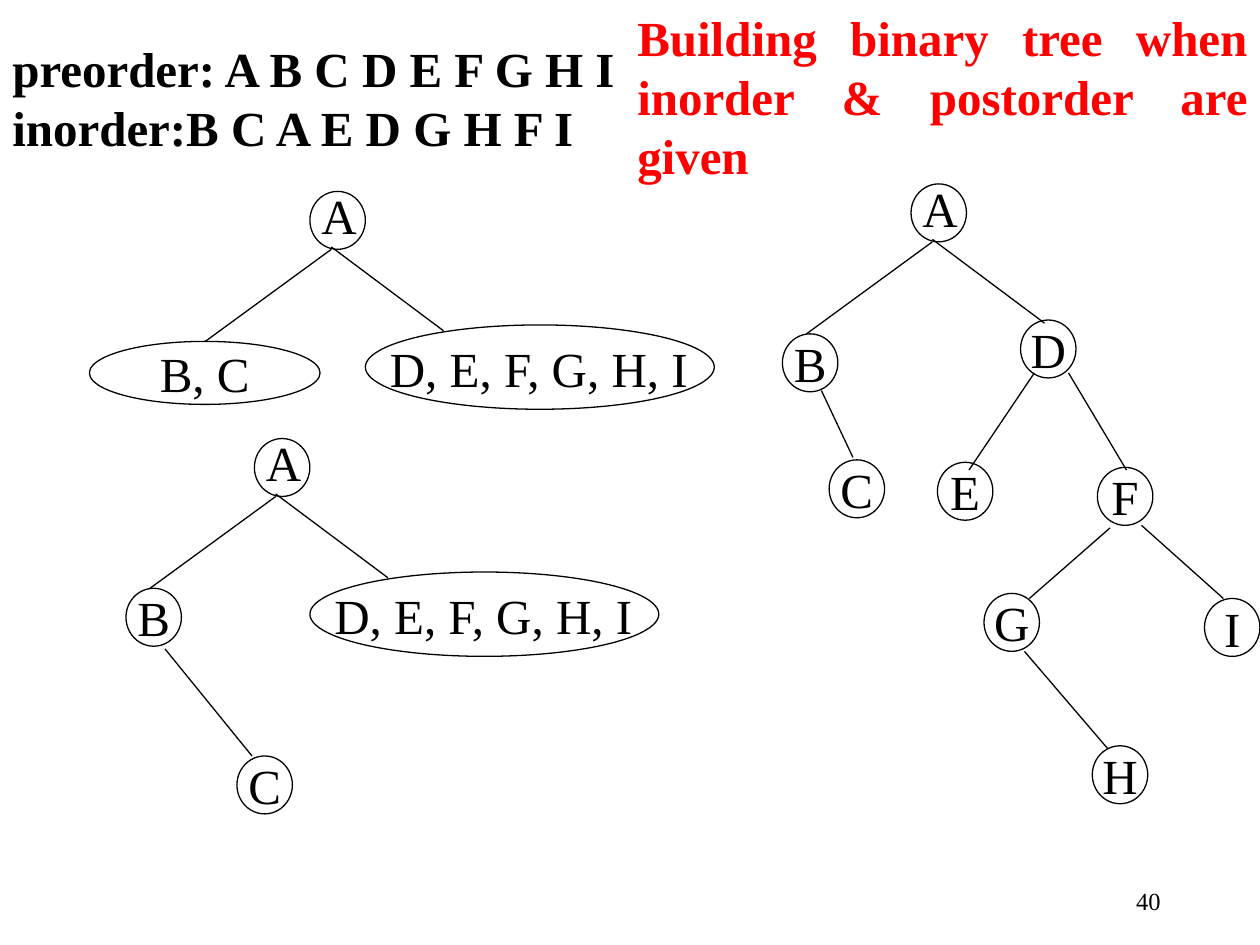
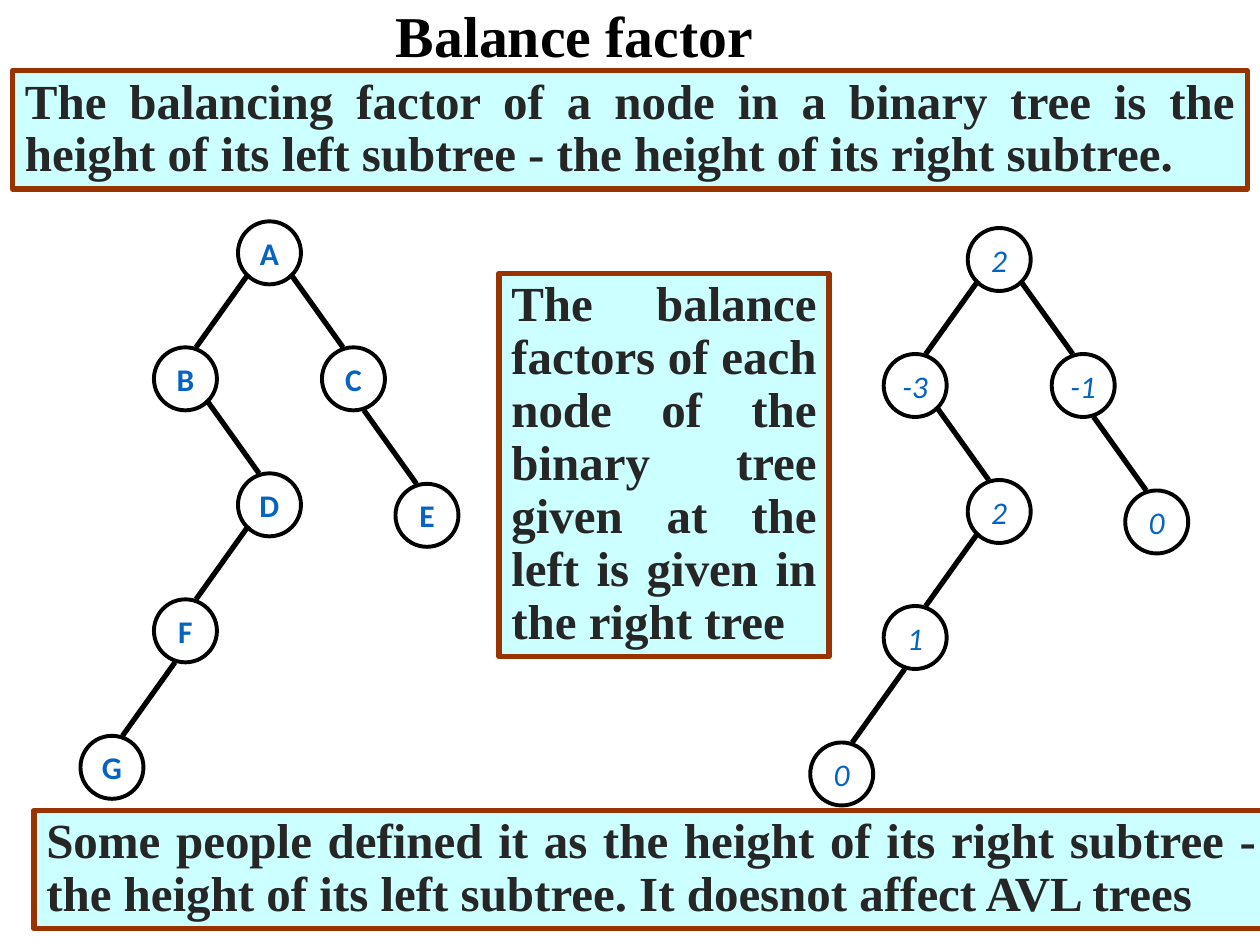
import dataclasses

import pptx
import pptx.dml.color
import pptx.enum.shapes
import pptx.enum.text
import pptx.util
from lxml import etree
from pptx.oxml.ns import qn

Pt = pptx.util.Pt
ALIGN = pptx.enum.text.PP_ALIGN
ANCHOR = pptx.enum.text.MSO_ANCHOR
AUTO = pptx.enum.text.MSO_AUTO_SIZE
SHAPE = pptx.enum.shapes.MSO_SHAPE
STRAIGHT = pptx.enum.shapes.MSO_CONNECTOR.STRAIGHT


@dataclasses.dataclass(frozen=True)
class Theme:
    ink: str = "000000"
    alert: str = "FF0000"
    node_ink: str = "0563C1"
    panel_ink: str = "262626"
    panel_fill: str = "CCFFFF"
    panel_line: str = "993300"
    serif: str = "Times New Roman"
    sans: str = "Calibri"
    title: int = 33
    body: int = 28
    node: int = 18
    small: int = 14
    thin: float = 0.75
    ring: float = 2.25
    thick: float = 3


class Deck:
    def __init__(self, theme):
        self.theme = theme
        self.prs = pptx.Presentation()
        self.prs.slide_width, self.prs.slide_height = Pt(720), Pt(540)
        self.s = self.shapes = None

    def slide(self):
        self.s = self.prs.slides.add_slide(self.prs.slide_layouts[6])
        self.shapes = self.s.shapes

    def group(self):
        """Send the following elements to a new group."""
        self.shapes = self.s.shapes.add_group_shape().shapes

    def ungroup(self):
        self.shapes = self.s.shapes

    def set_text(self, sp, text, align=ALIGN.CENTER, anchor=ANCHOR.MIDDLE,
                 wrap=False, grow=False, spacing=None, color=None, **font):
        tf = sp.text_frame
        frame = {"word_wrap": wrap, "vertical_anchor": anchor,
                 "auto_size": AUTO.SHAPE_TO_FIT_TEXT if grow else AUTO.NONE}
        for name, value in frame.items():
            setattr(tf, name, value)
        p = tf.paragraphs[0]
        p.text = text
        p.alignment = align
        if spacing:
            p.line_spacing = spacing
        style = {"name": self.theme.serif, "size": Pt(self.theme.body)} | font
        for r in p.runs:
            for name, value in style.items():
                setattr(r.font, name, value)
            r.font.color.rgb = pptx.dml.color.RGBColor.from_string(
                color or self.theme.ink)

    def stroke(self, sp, width, color=None):
        sp.line.width = Pt(width)
        sp.line.color.rgb = pptx.dml.color.RGBColor.from_string(
            color or self.theme.ink)

    def text(self, x, y, w, h, text, **style):
        sp = self.shapes.add_textbox(Pt(x), Pt(y), Pt(w), Pt(h))
        self.set_text(sp, text, **style)

    def label(self, x, y, w, text):
        self.text(x, y, w, 41, text, anchor=ANCHOR.TOP, grow=True)

    def oval(self, x, y, w, h, text="", width=None, **style):
        sp = self.shapes.add_shape(SHAPE.OVAL, Pt(x), Pt(y), Pt(w), Pt(h))
        sp.shadow.inherit = False
        sp.fill.background()
        self.stroke(sp, width or self.theme.thin)
        if text:
            self.set_text(sp, text, **style)

    def node(self, x, y, text=""):
        self.oval(x, y, 31.7, 33.1, text)

    def edge(self, x1, y1, x2, y2, width=None):
        sp = self.shapes.add_connector(STRAIGHT, Pt(x1), Pt(y1), Pt(x2), Pt(y2))
        self.stroke(sp, width or self.theme.thin)
        etree.SubElement(sp._element.spPr, qn("a:effectLst"))

    def panel(self, x, y, w, h, text):
        sp = self.shapes.add_shape(SHAPE.RECTANGLE, Pt(x), Pt(y), Pt(w), Pt(h))
        sp.shadow.inherit = False
        sp.fill.solid()
        sp.fill.fore_color.rgb = pptx.dml.color.RGBColor.from_string(
            self.theme.panel_fill)
        self.stroke(sp, self.theme.thick, self.theme.panel_line)
        self.set_text(sp, text, align=ALIGN.JUSTIFY, anchor=ANCHOR.TOP,
                      wrap=True, grow=True, spacing=0.9, bold=True,
                      color=self.theme.panel_ink)

    def root(self, x, y):
        """Node A with the two edges that leave it."""
        self.node(x, y)
        self.label(x - 0.7, y - 6.7, 34.6, "A")
        self.edge(x + 12.2, y + 33.1, x - 59.8, y + 85.7)
        self.edge(x + 12.2, y + 31.7, x + 76.3, y + 79.6)

    def root_with_rest(self, x, y):
        """Root A whose right subtree is still unsplit."""
        self.root(x, y)
        self.oval(x + 31.7, y + 76.3, 199.4, 48.2)
        self.label(x + 37.5, y + 80.3, 186.5, "D, E, F, G, H, I")

    def balance_tree(self, x, y, values, **font):
        """Seven-node tree; values follow BALANCE_NODES."""
        self.group()
        for (dx, dy, parent), value in zip(BALANCE_NODES, values):
            self.oval(x + dx, y + dy, 36, 36, value, self.theme.ring,
                      name=self.theme.sans, size=Pt(self.theme.node),
                      color=self.theme.node_ink, **font)
            if parent is None:
                continue
            px, py, _ = BALANCE_NODES[parent]
            side = 1 if dx > px else -1
            out, drop = (12, 30) if abs(dx - px) == 48 else (6, 36)
            self.edge(x + px + 18 + out * side, y + py + drop,
                      x + dx + 18 - 6 * side, y + dy, self.theme.thick)
        self.ungroup()


# Offset from the root, then index of the parent
BALANCE_NODES = [(0, 0, None), (-48, 72, 0), (48, 72, 0), (0, 144, 1),
                 (90, 150, 2), (-48, 216, 3), (-90, 294, 5)]

LETTER_NODES = [
    ("B", 72, 336.2), ("C", 135.4, 432),
    ("B", 447.1, 190.8), ("C", 473.8, 262.8), ("D", 583.2, 182.9),
    ("E", 535.7, 264.2), ("F", 627.1, 267.1), ("G", 562.3, 339.1),
    ("I", 688.3, 342), ("H", 624.2, 426.2)]

LETTER_EDGES = [
    (94.3, 370.8, 144, 432), (469.4, 223.2, 487.4, 261.4),
    (591.1, 213.1, 553.7, 268.6), (610.6, 213.1, 643.7, 268.6),
    (634.3, 301.7, 588.2, 342), (652.3, 300.2, 699.1, 342),
    (585.4, 372.2, 632.9, 427.7)]


def building_slide(d):
    d.slide()
    d.text(508.3, 500.4, 162, 28.8, "40", align=ALIGN.RIGHT, wrap=True,
           size=Pt(d.theme.small))
    d.text(0, 18.7, 362.9, 74.9,
           "preorder: A B C D E F G H I\vinorder:B C A E D G H F I",
           align=ALIGN.LEFT, anchor=ANCHOR.TOP, grow=True, bold=True)
    d.root_with_rest(177.1, 109.4)
    d.oval(51.1, 195.1, 131.8, 36, "B, C")
    d.root_with_rest(145.4, 250.6)
    d.root(520.6, 105.1)
    for letter, x, y in LETTER_NODES:
        d.node(x, y, letter)
    for ends in LETTER_EDGES:
        d.edge(*ends)
    d.text(357.1, 0.7, 362.9, 108,
           "Building binary tree when inorder & postorder are given",
           align=ALIGN.JUSTIFY, anchor=ANCHOR.TOP, wrap=True, grow=True,
           bold=True, color=d.theme.alert)


def balance_slide(d):
    d.slide()
    d.text(18, -0.7, 620.6, 45.4, "Balance factor", wrap=True, spacing=0.9,
           bold=True, size=Pt(d.theme.title))
    d.balance_tree(553, 130.3, ["2", "-3", "-1", "2", "0", "1", "0"], italic=True)
    d.balance_tree(136, 126.5, "ABCDEFG", bold=True)
    d.panel(7.2, 40.3, 705.6, 67.7,
            "The balancing factor of a node in a binary tree is the height of "
            "its left subtree - the height of its right subtree.")
    d.panel(19.4, 463, 705.6, 67.7,
            "Some people defined it as the height of its right subtree - the "
            "height of its left subtree. It doesnot affect AVL trees")
    d.panel(285.1, 156.2, 188.6, 218.9,
            "The balance factors of each node of the binary tree given at the "
            "left is given in the right tree")


def main():
    d = Deck(Theme())
    building_slide(d)
    balance_slide(d)
    d.prs.save("out.pptx")


if __name__ == "__main__":
    main()
